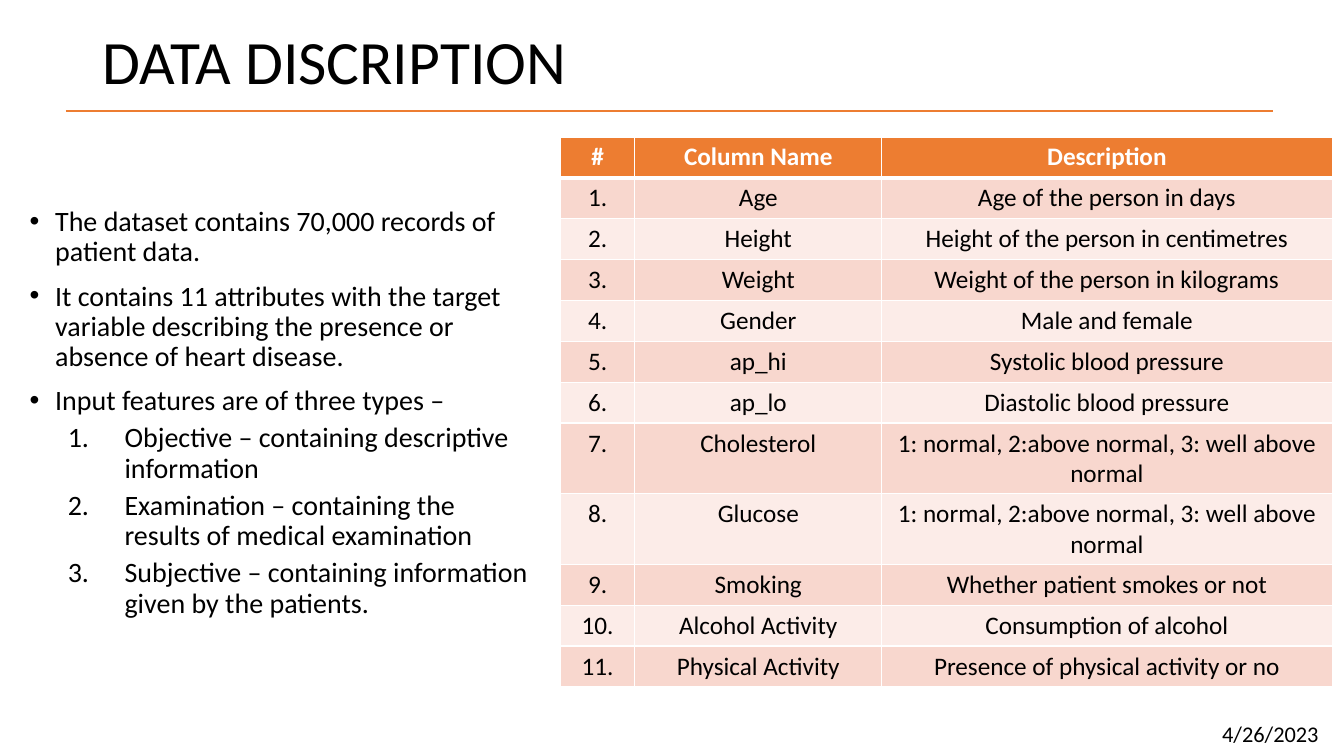
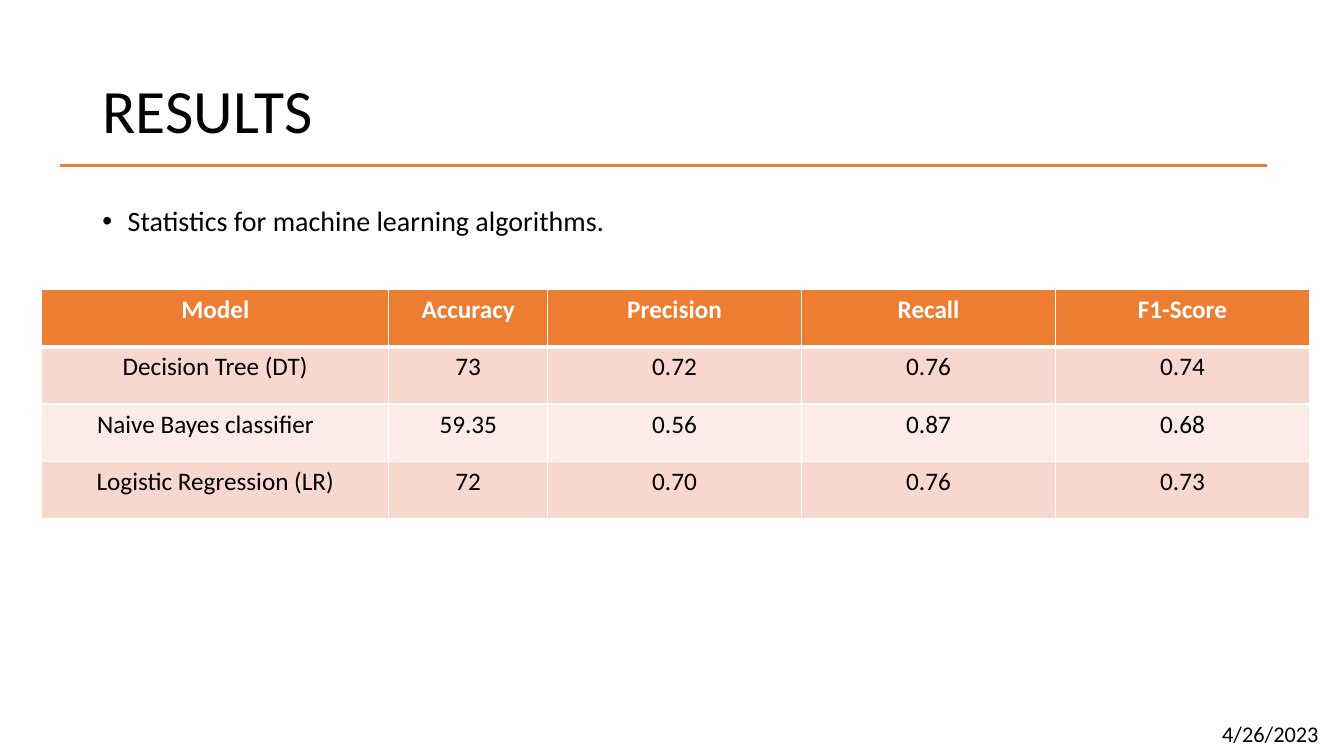
from dataclasses import dataclass

from lxml import etree
from pptx import Presentation
from pptx.dml.color import RGBColor
from pptx.enum.shapes import MSO_CONNECTOR
from pptx.enum.text import MSO_ANCHOR, PP_ALIGN
from pptx.oxml.ns import qn
from pptx.slide import Slide
from pptx.table import _Cell
from pptx.text.text import _Paragraph
from pptx.util import Cm, Pt

STRAIGHT = MSO_CONNECTOR.STRAIGHT
MIDDLE = MSO_ANCHOR.MIDDLE
LEFT, CENTER = PP_ALIGN.LEFT, PP_ALIGN.CENTER

FONT = "Calibri"
COLORS = {
    "text": "000000",
    "accent": "ED7D31",
    "white": "FFFFFF",
    "band_dark": "F8D7CE",
    "band_light": "FCECE8",
}
TITLE_LEFT, TITLE_WIDTH = 2.33, 29.2
RULE_LENGTH = 30.42
BODY_TOP = 5.1
DATE = "4/26/2023"


@dataclass(frozen=True)
class Box:
    """Left, top, width and height in centimetres."""
    left: float
    top: float
    width: float
    height: float

    def lengths(self) -> tuple[Cm, Cm, Cm, Cm]:
        return Cm(self.left), Cm(self.top), Cm(self.width), Cm(self.height)


@dataclass(frozen=True)
class Heading:
    text: str
    top: float
    height: float
    rule_left: float
    rule_top: float


@dataclass(frozen=True)
class Point:
    text: str
    numbered: bool = False


@dataclass(frozen=True)
class Grid:
    left: float
    top: float
    columns: tuple[float, ...]
    row_height: float
    rows: list[tuple[str, ...]]


ATTRIBUTES = [
    ("Age", "Age of the person in days"),
    ("Height", "Height of the person in centimetres"),
    ("Weight", "Weight of the person in kilograms"),
    ("Gender", "Male and female"),
    ("ap_hi", "Systolic blood pressure"),
    ("ap_lo", "Diastolic blood pressure"),
    ("Cholesterol", "1: normal, 2:above normal, 3: well above normal"),
    ("Glucose", "1: normal, 2:above normal, 3: well above normal"),
    ("Smoking", "Whether patient smokes or not"),
    ("Alcohol Activity", "Consumption of alcohol"),
    ("Physical Activity", "Presence of physical activity or no"),
]
ATTRIBUTE_GRID = Grid(
    14.12, 3.45, (1.88, 6.22, 11.35), 1.03,
    [("#", "Column Name", "Description")]
    + [(f"{number}.", *attribute) for number, attribute in enumerate(ATTRIBUTES, 1)],
)
SCORE_GRID = Grid(
    1.05, 7.3, (8.75, 4, 6.4, 6.4, 6.4), 1.44,
    [
        ("Model", "Accuracy", "Precision", "Recall", "F1-Score"),
        ("Decision Tree (DT)", "73", "0.72", "0.76", "0.74"),
        ("Naive Bayes classifier", "59.35", "0.56", "0.87", "0.68"),
        ("Logistic Regression (LR)", "72", "0.70", "0.76", "0.73"),
    ],
)
DATA_POINTS = [
    Point("The dataset contains 70,000 records of patient data."),
    Point("It contains 11 attributes with the target variable describing "
          "the presence or absence of heart disease."),
    Point("Input features are of three types –"),
    Point("Objective – containing descriptive information", numbered=True),
    Point("Examination – containing the results of medical examination", numbered=True),
    Point("Subjective – containing information given by the patients.", numbered=True),
]


def style(paragraph: _Paragraph, size: float, color: str = "text", bold: bool = False) -> None:
    font = paragraph.font
    font.name, font.size, font.bold = FONT, Pt(size), bold
    font.color.rgb = RGBColor.from_string(COLORS[color])


def add_marker(paragraph: _Paragraph, numbered: bool) -> None:
    """Give the paragraph a hanging indent with a bullet or a number."""
    margin, hang = (2.39, 1.43) if numbered else (0.64, 0.64)
    properties = paragraph._p.get_or_add_pPr()
    properties.set("marL", str(Cm(margin)))
    properties.set("indent", str(-Cm(hang)))
    if numbered:
        etree.SubElement(properties, qn("a:buAutoNum"), type="arabicPeriod")
    else:
        etree.SubElement(properties, qn("a:buFont"), typeface="Arial")
        etree.SubElement(properties, qn("a:buChar"), char="•")


def add_points(slide: Slide, box: Box, points: list[Point]) -> None:
    frame = slide.shapes.add_textbox(*box.lengths()).text_frame
    frame.word_wrap = True
    for index, point in enumerate(points):
        paragraph = frame.add_paragraph() if index else frame.paragraphs[0]
        paragraph.text = point.text
        add_marker(paragraph, point.numbered)
        paragraph.line_spacing = 0.9
        if index:
            paragraph.space_before = Pt(5 if point.numbered else 10)
        style(paragraph, 20)


def add_borders(cell: _Cell, top: float, bottom: float) -> None:
    properties = cell._tc.get_or_add_tcPr()
    for side, width in (("L", 1), ("R", 1), ("T", top), ("B", bottom)):
        border = etree.SubElement(properties, qn(f"a:ln{side}"), w=str(Pt(width)))
        fill = etree.SubElement(border, qn("a:solidFill"))
        etree.SubElement(fill, qn("a:srgbClr"), val=COLORS["white"])


def add_grid(slide: Slide, grid: Grid):
    box = Box(grid.left, grid.top, sum(grid.columns), grid.row_height * len(grid.rows))
    table = slide.shapes.add_table(
        len(grid.rows), len(grid.columns), *box.lengths()).table
    for column, width in zip(table.columns, grid.columns):
        column.width = Cm(width)
    for row_index, (row, values) in enumerate(zip(table.rows, grid.rows)):
        row.height = Cm(grid.row_height)
        header = row_index == 0
        band = "accent" if header else "band_dark" if row_index % 2 else "band_light"
        for cell, value in zip(row.cells, values):
            add_borders(cell, top=3 if row_index == 1 else 1, bottom=3 if header else 1)
            cell.fill.solid()
            cell.fill.fore_color.rgb = RGBColor.from_string(COLORS[band])
            cell.text = value
            paragraph = cell.text_frame.paragraphs[0]
            paragraph.alignment = CENTER
            style(paragraph, 18, "white" if header else "text", header)
    return table


def add_rule(slide: Slide, left: float, top: float) -> None:
    rule = slide.shapes.add_connector(
        STRAIGHT, Cm(left), Cm(top), Cm(left + RULE_LENGTH), Cm(top))
    rule.line.color.rgb = RGBColor.from_string(COLORS["accent"])
    rule.line.width = Pt(1.5)
    etree.SubElement(rule._element.spPr, qn("a:effectLst"))


def add_date(slide: Slide) -> None:
    frame = slide.shapes.add_textbox(*Box(30.55, 18.03, 3.3, 0.94).lengths()).text_frame
    frame.word_wrap = True
    frame.text = DATE
    style(frame.paragraphs[0], 16)


def add_slide(presentation, heading: Heading) -> Slide:
    """Add a slide with the shared title, rule and date."""
    slide = presentation.slides.add_slide(presentation.slide_layouts.get_by_name("Title Only"))
    title = slide.shapes.title
    box = Box(TITLE_LEFT, heading.top, TITLE_WIDTH, heading.height)
    title.left, title.top, title.width, title.height = box.lengths()
    title.text_frame.text = heading.text
    title.text_frame.vertical_anchor = MIDDLE
    paragraph = title.text_frame.paragraphs[0]
    paragraph.alignment = LEFT
    paragraph.line_spacing = 0.9
    style(paragraph, 44)
    add_rule(slide, heading.rule_left, heading.rule_top)
    add_date(slide)
    return slide


def main() -> None:
    presentation = Presentation()
    presentation.slide_width, presentation.slide_height = Cm(33.87), Cm(19.05)

    description = add_slide(presentation, Heading("DATA DISCRIPTION", 0.58, 2.1, 1.66, 2.79))
    add_points(description, Box(0.5, BODY_TOP, 13.25, 13.85), DATA_POINTS)
    add_grid(description, ATTRIBUTE_GRID)

    results = add_slide(presentation, Heading("RESULTS", 1.01, 3.68, 1.52, 4.17))
    add_points(results, Box(TITLE_LEFT, BODY_TOP, TITLE_WIDTH, 1.2),
               [Point("Statistics for machine learning algorithms.")])
    scores = add_grid(results, SCORE_GRID)
    naive_bayes = scores.cell(2, 0)
    naive_bayes.margin_left = Cm(1.4)
    naive_bayes.text_frame.paragraphs[0].alignment = LEFT

    presentation.save("out.pptx")


if __name__ == "__main__":
    main()
